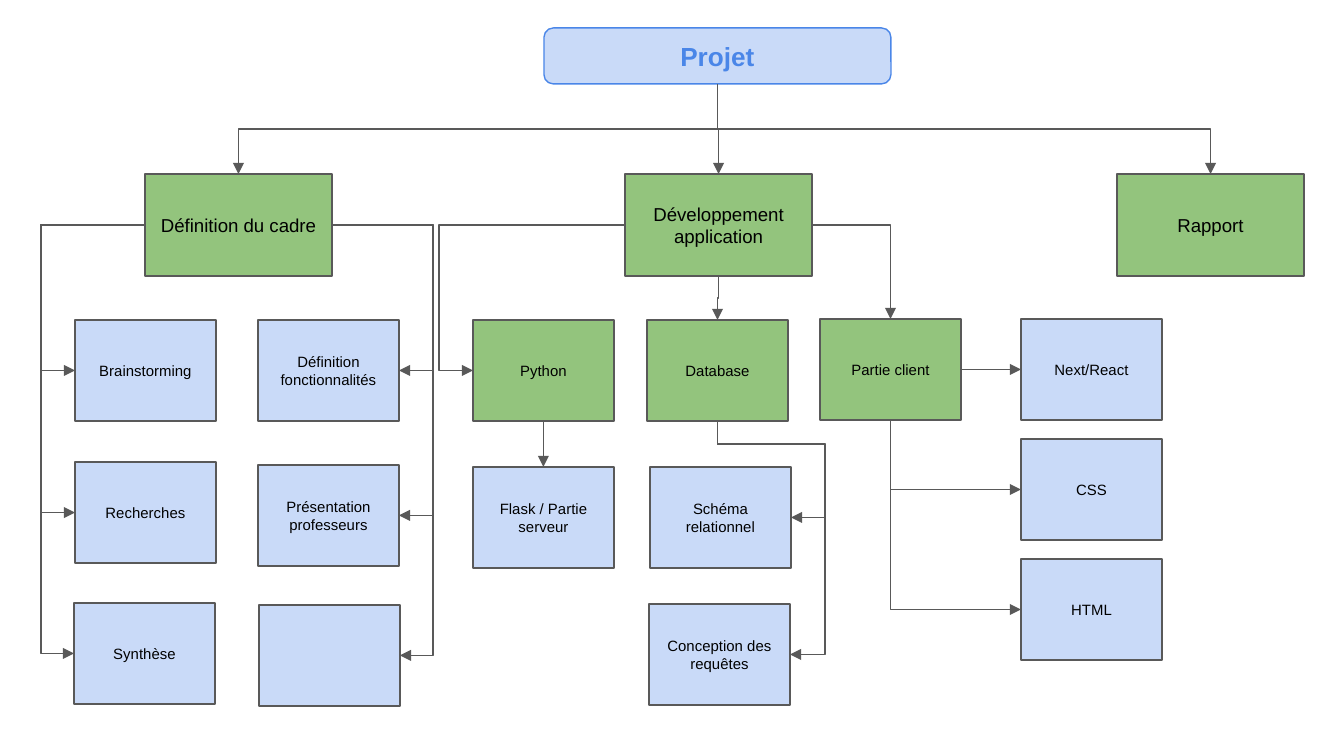
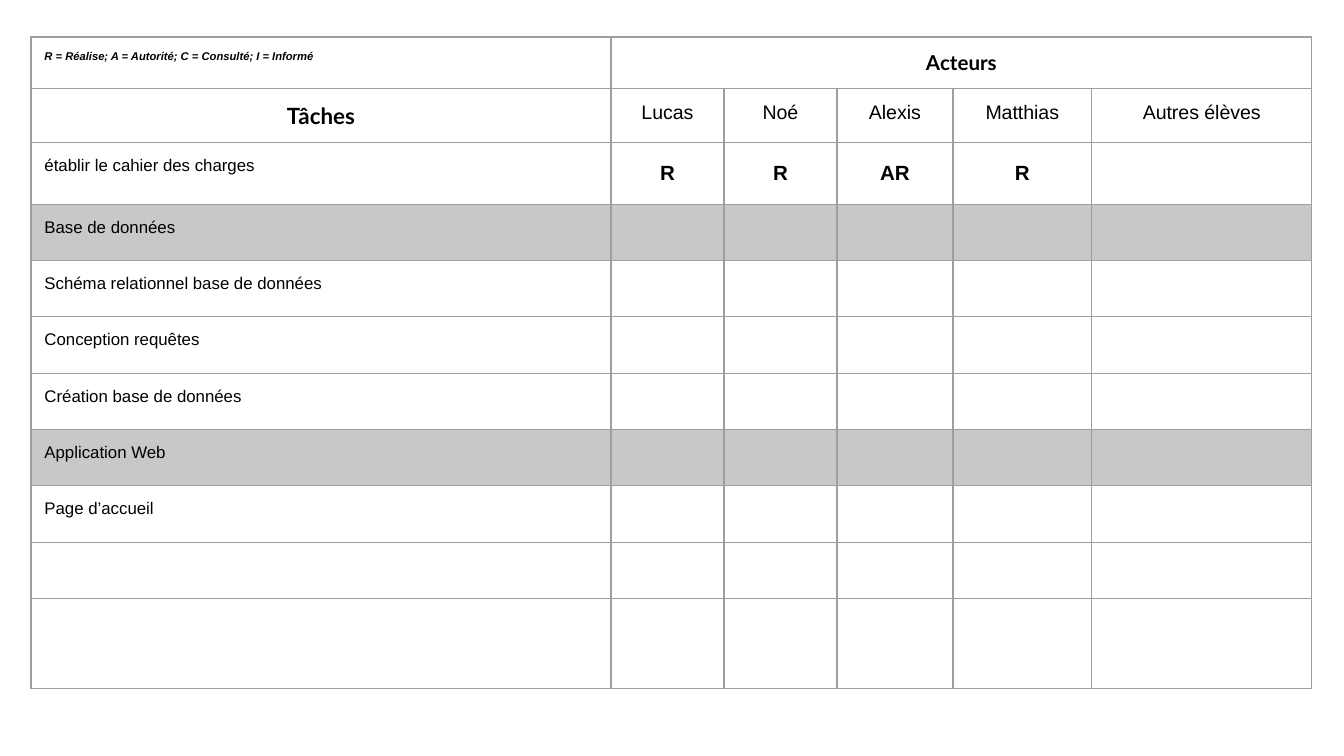
"""Build a two-slide project deck: a work breakdown tree and a RACI table."""
from lxml.etree import SubElement
from pptx import Presentation
from pptx.dml.color import RGBColor
from pptx.enum.shapes import MSO_CONNECTOR as Link, MSO_SHAPE as Shape
from pptx.enum.text import MSO_ANCHOR as Anchor, PP_ALIGN as Align
from pptx.oxml.ns import qn
from pptx.util import Pt

EMU_PER_PIXEL = 914400 / 134.4
PAGE_SIZE = (1344, 756)
INSET = 13.44
COLORS = {"sky": "C9DAF8", "blue": "4A86E8", "green": "93C47D", "line": "595959",
          "grid": "9E9E9E", "band": "C8C8C8", "black": "000000"}

STYLES = {
    "root": dict(shape=Shape.ROUNDED_RECTANGLE, size=(347, 56), fill="sky", ink="blue",
                 line="blue", points=14, bold=True),
    "branch": dict(shape=Shape.RECTANGLE, size=(187, 102), fill="green", ink="black",
                   line="line", points=10, bold=False),
    "part": dict(shape=Shape.RECTANGLE, size=(141, 101), fill="green", ink="black",
                 line="line", points=8, bold=False),
    "leaf": dict(shape=Shape.RECTANGLE, size=(141, 101), fill="sky", ink="black",
                 line="line", points=8, bold=False),
}
BOXES = {
    "project": ("Projet", "root", 544, 28),
    "scope": ("Définition du cadre", "branch", 145, 174),
    "app": ("Développement application", "branch", 625, 174),
    "report": ("Rapport", "branch", 1117, 174),
    "ideas": ("Brainstorming", "leaf", 75, 320),
    "research": ("Recherches", "leaf", 75, 462),
    "summary": ("Synthèse", "leaf", 74, 603),
    "features": ("Définition fonctionnalités", "leaf", 258, 320),
    "pitch": ("Présentation professeurs", "leaf", 258, 465),
    "blank": ("", "leaf", 259, 605),
    "python": ("Python", "part", 473, 320),
    "database": ("Database", "part", 647, 320),
    "client": ("Partie client", "part", 820, 319),
    "server": ("Flask / Partie serveur", "leaf", 473, 467),
    "schema": ("Schéma relationnel", "leaf", 650, 467),
    "queries": ("Conception des requêtes", "leaf", 649, 604),
    "react": ("Next/React", "leaf", 1021, 319),
    "css": ("CSS", "leaf", 1021, 439),
    "html": ("HTML", "leaf", 1021, 559),
}
SIDES = {"top": (0, 0.5, 0), "left": (1, 0, 0.5), "bottom": (2, 0.5, 1), "right": (3, 1, 0.5)}
LINKS = [
    ("project", "bottom", ("scope", "app", "report"), "top", {}),
    ("scope", "left", ("ideas", "research", "summary"), "left", {"x": 41}),
    ("scope", "right", ("features", "pitch", "blank"), "right", {"x": 433}),
    ("app", "left", ("python",), "left", {"x": 439}),
    ("app", "bottom", ("database",), "top", {}),
    ("app", "right", ("client",), "top", {}),
    ("python", "bottom", ("server",), "top", {}),
    ("database", "bottom", ("schema", "queries"), "right", {"x": 825, "y": 444}),
    ("client", "right", ("react",), "left", {}),
    ("client", "bottom", ("css", "html"), "left", {}),
]

TABLE_AT = (31, 37)
COLUMNS = [580, 113, 113, 116, 139, 220]
ROWS = [51, 54, 62, 56, 56, 57, 56, 56, 57, 56, 90]
LEGEND = "R = Réalise; A = Autorité; C = Consulté; I = Informé"
ACTORS = ["Lucas", "Noé", "Alexis", "Matthias", "Autres élèves"]
TASKS = [
    ("établir le cahier des charges", ["R", "R", "AR", "R"]),
    ("Base de données", []),
    ("Schéma relationnel base de données", []),
    ("Conception requêtes", []),
    ("Création base de données", []),
    ("Application Web", []),
    ("Page d’accueil", []),
]
BANDED_ROWS = (3, 7)


def px(value):
    return round(value * EMU_PER_PIXEL)


def color(name):
    return RGBColor.from_string(COLORS[name])


def write(frame, text, points, font="Arial", ink="black", bold=False, italic=False, align=Align.CENTER):
    frame.text = text
    para = frame.paragraphs[0]
    para.alignment = align
    for span in para.runs:
        span.font.name, span.font.size = font, Pt(points)
        span.font.bold, span.font.italic = bold, italic
        span.font.color.rgb = color(ink)


def set_insets(owner):
    owner.margin_left = owner.margin_right = owner.margin_top = owner.margin_bottom = px(INSET)


def add_box(page, text, style_name, x, y):
    style = STYLES[style_name]
    box = page.shapes.add_shape(style["shape"], px(x), px(y), *map(px, style["size"]))
    box.shadow.inherit = False
    box.fill.solid()
    box.fill.fore_color.rgb = color(style["fill"])
    box.line.color.rgb = color(style["line"])
    box.line.width = Pt(0.75)
    frame = box.text_frame
    frame.word_wrap = True
    frame.vertical_anchor = Anchor.MIDDLE
    set_insets(frame)
    write(frame, text, style["points"], ink=style["ink"], bold=style["bold"])
    return box


def site(box, side):
    _, across, down = SIDES[side]
    return box.left + box.width * across, box.top + box.height * down


def bend_ratios(start, end, downward, same_axis, lane):
    spans = {axis: (a, b - a) for axis, a, b in zip("xy", start, end)}
    ratios = [(px(lane[axis]) - spans[axis][0]) / spans[axis][1]
              for axis in ("yx" if downward else "xy") if axis in lane]
    return ratios or ([0.5] if same_axis else [])


def add_link(page, source, source_side, target, target_side, lane):
    start, end = site(source, source_side), site(target, target_side)
    dx, dy = end[0] - start[0], end[1] - start[1]
    downward = source_side == "bottom"
    same_axis = downward == (target_side == "top")
    ratios = bend_ratios(start, end, downward, same_axis, lane)
    width, height = (abs(dy), abs(dx)) if downward else (abs(dx), abs(dy))

    arrow = page.shapes.add_connector(Link.ELBOW, 0, 0, 0, 0)
    arrow.begin_connect(source, SIDES[source_side][0])
    arrow.end_connect(target, SIDES[target_side][0])
    xfrm = arrow._element.spPr.find(qn("a:xfrm"))
    for flip in ("flipH", "flipV"):
        xfrm.attrib.pop(flip, None)
    arrow.left = round((start[0] + end[0] - width) / 2)
    arrow.top = round((start[1] + end[1] - height) / 2)
    arrow.width, arrow.height = round(width), round(height)
    if downward:
        turn, flip = (90, None) if dx < 0 else (270, "flipH")
    else:
        turn, flip = (180, "flipV") if dx < 0 else (0, None)
    xfrm.set("rot", str(turn * 60000))
    if flip:
        xfrm.set(flip, "1")

    geometry = arrow._element.spPr.find(qn("a:prstGeom"))
    geometry.set("prst", f"bentConnector{len(ratios) + 2}")
    guides = geometry.find(qn("a:avLst"))
    if guides is None:
        guides = SubElement(geometry, qn("a:avLst"))
    for number, ratio in enumerate(ratios, 1):
        SubElement(guides, qn("a:gd"), name=f"adj{number}", fmla=f"val {round(ratio * 100000)}")
    arrow.line.color.rgb = color("line")
    arrow.line.width = Pt(0.75)
    SubElement(arrow.line._get_or_add_ln(), qn("a:tailEnd"), type="triangle")
    SubElement(arrow._element.spPr, qn("a:effectLst"))


def style_cell(cell, banded):
    set_insets(cell)
    properties = cell._tc.get_or_add_tcPr()
    for side in "LRTB":
        border = SubElement(properties, qn(f"a:ln{side}"), w=str(Pt(0.75)))
        SubElement(SubElement(border, qn("a:solidFill")), qn("a:srgbClr"), val=COLORS["grid"])
    if banded:
        cell.fill.solid()
        cell.fill.fore_color.rgb = color("band")
    else:
        cell.fill.background()
    SubElement(cell.text_frame.paragraphs[0]._p, qn("a:endParaRPr"), sz="900")


def build_tree(page):
    boxes = {key: add_box(page, *content) for key, content in BOXES.items()}
    for source, source_side, targets, target_side, lane in LINKS:
        for target in targets:
            add_link(page, boxes[source], source_side, boxes[target], target_side, lane)


def build_table(page):
    frame = page.shapes.add_table(len(ROWS), len(COLUMNS), *map(px, TABLE_AT + (sum(COLUMNS), sum(ROWS))))
    table = frame.table
    table.first_row = table.horz_banding = False
    for column, width in zip(table.columns, COLUMNS):
        column.width = px(width)
    for row, height in zip(table.rows, ROWS):
        row.height = px(height)

    write(table.cell(0, 0).text_frame, LEGEND, 6, bold=True, italic=True, align=Align.LEFT)
    write(table.cell(0, 1).text_frame, "Acteurs", 11, font="Lato", bold=True)
    write(table.cell(1, 0).text_frame, "Tâches", 12, font="Lato", bold=True)
    for column, actor in enumerate(ACTORS, 1):
        write(table.cell(1, column).text_frame, actor, 10.5)
    for row, (task, roles) in enumerate(TASKS, 2):
        write(table.cell(row, 0).text_frame, task, 9, align=Align.LEFT)
        for column, role in enumerate(roles, 1):
            cell = table.cell(row, column)
            cell.vertical_anchor = Anchor.MIDDLE
            write(cell.text_frame, role, 11, bold=True)
    for row in range(len(ROWS)):
        for column in range(len(COLUMNS)):
            style_cell(table.cell(row, column), row in BANDED_ROWS)
    table.cell(0, 1).merge(table.cell(0, len(COLUMNS) - 1))


deck = Presentation()
deck.slide_width, deck.slide_height = map(px, PAGE_SIZE)
for build in (build_tree, build_table):
    build(deck.slides.add_slide(deck.slide_layouts[6]))
deck.save("out.pptx")
